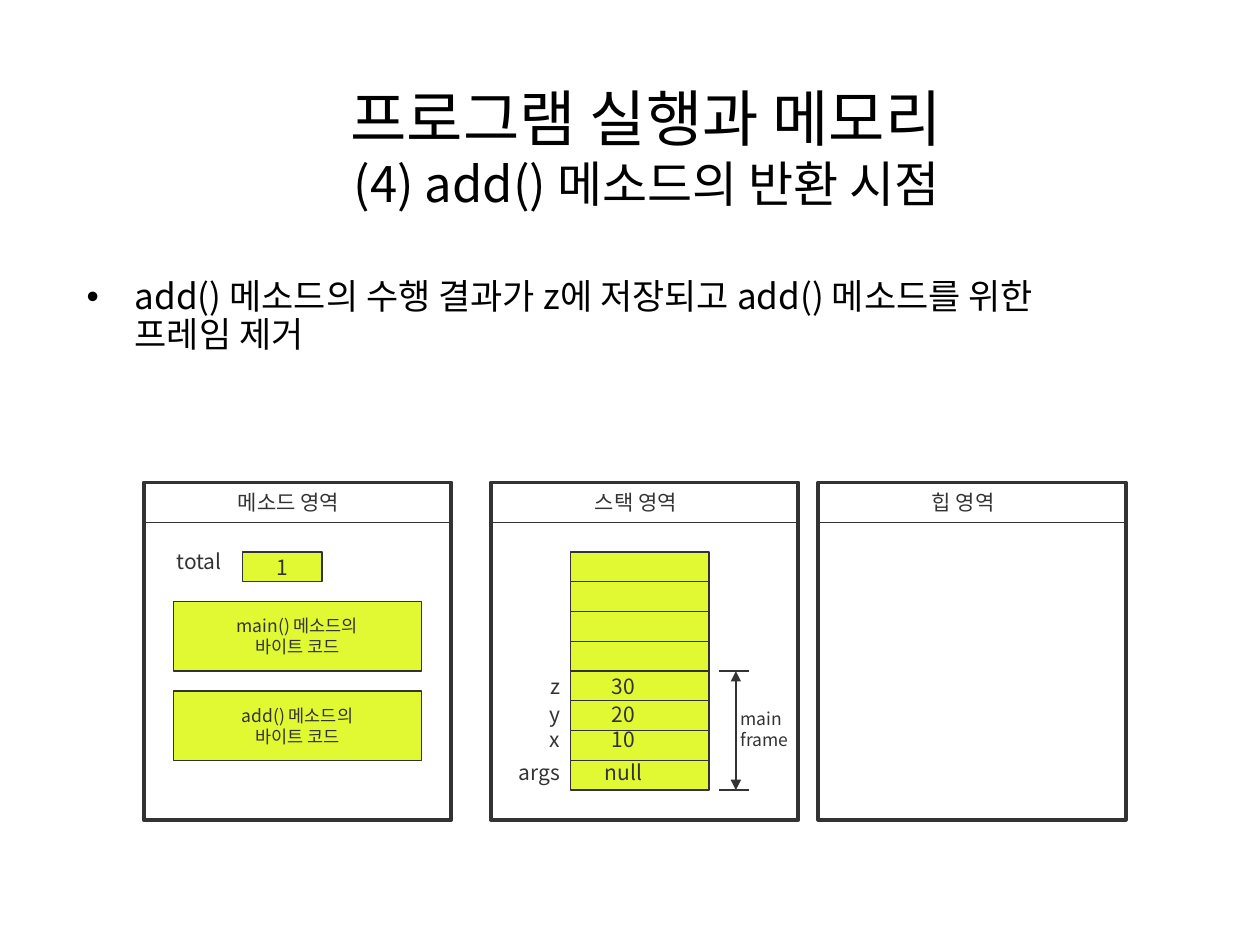
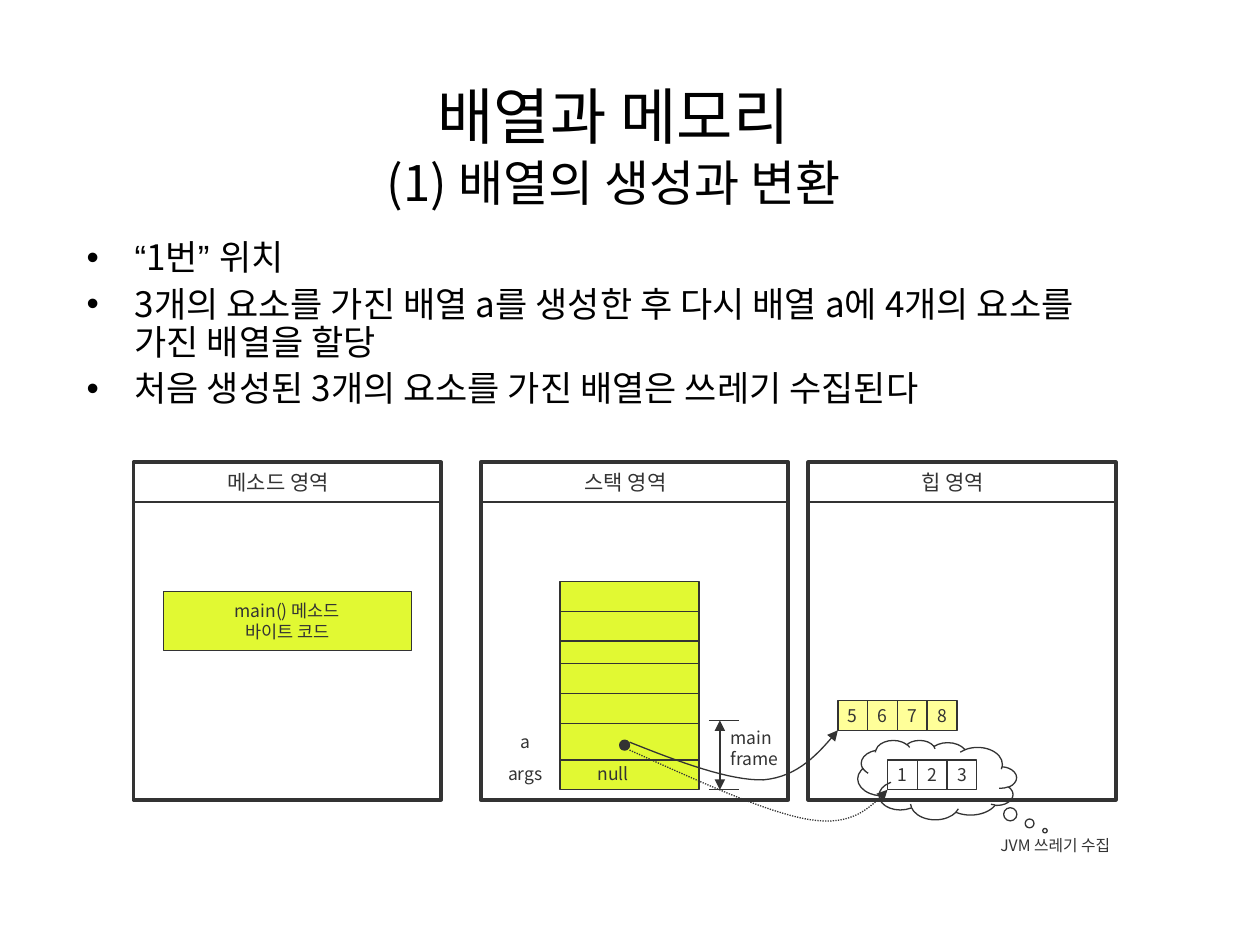
import lxml.etree
import pptx
import pptx.dml.color
import pptx.enum.dml
import pptx.enum.shapes
import pptx.enum.text
import pptx.oxml
import pptx.oxml.ns
import pptx.util

BLACK = pptx.dml.color.RGBColor(0x00, 0x00, 0x00)
INK = pptx.dml.color.RGBColor(0x33, 0x33, 0x33)
LIME = pptx.dml.color.RGBColor(0xE1, 0xF9, 0x33)
CREAM = pptx.dml.color.RGBColor(0xFF, 0xFF, 0x99)

KOREAN, LATIN = "Noto Sans CJK KR", "Arial"
Shape = pptx.enum.shapes.MSO_SHAPE
Align = pptx.enum.text.PP_ALIGN
Anchor = pptx.enum.text.MSO_ANCHOR
inch, points = pptx.util.Inches, pptx.util.Pt

# Diagrams are laid out on a grid of 2 mm cells
CELL = pptx.util.Mm(2)
PANEL_WIDTH, PANEL_HEIGHT, HEADER = 31, 34, 4
PANELS = {"메소드 영역": 0, "스택 영역": 35, "힙 영역": 68}
STACK_LEFT, STACK_WIDTH, VALUE_WIDTH = 43, 14, 10.7
LABEL_LEFT, LABEL_WIDTH = 37, 5
CODE_LEFT, CODE_WIDTH = 3, 25
ROW = 3

NO_INSETS = dict.fromkeys(
    ("margin_left", "margin_top", "margin_right", "margin_bottom"), 0)
LABEL_FRAME = {**NO_INSETS, "word_wrap": False, "vertical_anchor": Anchor.MIDDLE}
BULLET_FORMAT = {"line_spacing": 0.9, "space_before": points(5)}


def apply(target, values):
    for attribute, value in values.items():
        setattr(target, attribute, value)


def write(paragraph, text, size, color=INK, font=KOREAN):
    """Add a run whose Latin and East Asian fonts agree."""
    run = paragraph.add_run()
    apply(run, {"text": text})
    apply(run.font, {"size": points(size), "name": font})
    run.font.color.rgb = color
    east_asian = pptx.oxml.parse_xml(
        f'<a:ea {pptx.oxml.ns.nsdecls("a")} typeface="{font}"/>')
    run.font._element.find(pptx.oxml.ns.qn("a:latin")).addnext(east_asian)


def fill_label(frame, text, size, align):
    apply(frame, LABEL_FRAME)
    for index, line in enumerate(text.split("\n")):
        paragraph = frame.add_paragraph() if index else frame.paragraphs[0]
        paragraph.alignment = align
        write(paragraph, line, size)


def add_arrowheads(line, *ends):
    for end in ends:
        lxml.etree.SubElement(line._get_or_add_ln(), pptx.oxml.ns.qn(f"a:{end}"),
                              type="triangle")


def add_title(slide, left, top, heading, subheading):
    title = slide.shapes.title
    apply(title, {"left": inch(left), "top": inch(top),
                  "width": inch(9.24), "height": inch(0.8)})
    apply(title.text_frame, {"word_wrap": True, "vertical_anchor": Anchor.MIDDLE,
                             "auto_size": pptx.enum.text.MSO_AUTO_SIZE.NONE})
    paragraph = title.text_frame.paragraphs[0]
    paragraph.alignment = Align.CENTER
    write(paragraph, heading, 35, BLACK)
    paragraph.add_line_break()
    write(paragraph, subheading, 28, BLACK)


def add_bullets(slide, top, height, items):
    """Each item is a list of (text, font) runs."""
    frame = slide.shapes.add_textbox(
        inch(0.59), inch(top), inch(8.5), inch(height)).text_frame
    frame.word_wrap = True
    for index, runs in enumerate(items):
        paragraph = frame.add_paragraph() if index else frame.paragraphs[0]
        apply(paragraph, BULLET_FORMAT)
        properties = paragraph._p.get_or_add_pPr()
        properties.set("marL", str(inch(0.38)))
        properties.set("indent", str(-inch(0.38)))
        lxml.etree.SubElement(properties, pptx.oxml.ns.qn("a:buFont"), typeface=LATIN)
        lxml.etree.SubElement(properties, pptx.oxml.ns.qn("a:buChar"), char="•")
        for text, font in runs:
            write(paragraph, text, 20, BLACK, font)


class Diagram:
    """Memory diagram measured in cells from its top left corner."""

    def __init__(self, slide, left, top):
        self.shapes = slide.shapes
        self.left, self.top = inch(left), inch(top)

    def place(self, column, row):
        return round(self.left + column * CELL), round(self.top + row * CELL)

    def area(self, column, row, width, height):
        return *self.place(column, row), round(width * CELL), round(height * CELL)

    def box(self, column, row, width, height, fill=None, text="", size=10,
            weight=0.75, kind=Shape.RECTANGLE):
        box = self.shapes.add_shape(kind, *self.area(column, row, width, height))
        box.shadow.inherit = False
        if fill is None:
            box.fill.background()
        else:
            box.fill.solid()
            box.fill.fore_color.rgb = fill
        box.line.color.rgb = INK
        box.line.width = points(weight)
        if text:
            fill_label(box.text_frame, text, size, Align.CENTER)
        return box

    def label(self, column, row, width, height, text, size, align=Align.CENTER):
        label = self.shapes.add_textbox(*self.area(column, row, width, height))
        fill_label(label.text_frame, text, size, align)
        # Left and right alignment hold to the box only when text wraps
        label.text_frame.word_wrap = align != Align.CENTER

    def line(self, start, end, *arrowheads):
        line = self.shapes.add_connector(
            pptx.enum.shapes.MSO_CONNECTOR.STRAIGHT,
            *self.place(*start), *self.place(*end))
        line.line.color.rgb = INK
        line.line.width = points(0.75)
        add_arrowheads(line.line, *arrowheads)
        lxml.etree.SubElement(line._element.spPr, pptx.oxml.ns.qn("a:effectLst"))

    def curve(self, controls, dash=None, steps=16):
        """Arrow along joined cubic curves, three more points for each."""
        track = [controls[0]]
        for first in range(0, len(controls) - 1, 3):
            a, b, c, d = controls[first:first + 4]
            for step in range(1, steps + 1):
                t = step / steps
                u = 1 - t
                track.append([u**3 * p + 3*u*u*t * q + 3*u*t*t * r + t**3 * s
                              for p, q, r, s in zip(a, b, c, d)])
        start, *rest = [self.place(*point) for point in track]
        builder = self.shapes.build_freeform(*start)
        builder.add_line_segments(rest, close=False)
        arrow = builder.convert_to_shape()
        arrow.shadow.inherit = False
        arrow.fill.background()
        arrow.line.color.rgb = INK
        apply(arrow.line, {"width": points(0.75), "dash_style": dash})
        add_arrowheads(arrow.line, "tailEnd")

    def panels(self):
        for name, column in PANELS.items():
            self.box(column, 0, PANEL_WIDTH, PANEL_HEIGHT, weight=2.25)
            self.line((column, HEADER), (column + PANEL_WIDTH, HEADER))
            self.label(column, 0, 29.2, HEADER, name, 12)

    def stack(self, row, height, dividers):
        self.box(STACK_LEFT, row, STACK_WIDTH, height, LIME)
        for divider in dividers:
            self.line((STACK_LEFT, divider), (STACK_LEFT + STACK_WIDTH, divider))

    def variable(self, middle, name, value, size, align):
        row = middle - ROW / 2
        self.label(LABEL_LEFT, row, LABEL_WIDTH, ROW, name, size, align)
        if value:
            self.label(STACK_LEFT, row, VALUE_WIDTH, ROW, value, size)

    def frame_bracket(self, top, bottom, arrow, label_row):
        for row in (top, bottom):
            self.line((58, row), (61, row))
        self.line((arrow, top), (arrow, bottom), "headEnd", "tailEnd")
        self.label(60.2, label_row, 7, 5.6, "main\nframe", 10, Align.LEFT)

    def array(self, column, row, values, fill=None):
        for index, value in enumerate(values):
            self.box(column + index * ROW, row, ROW, ROW, fill, value)


def build_return_slide(slide):
    add_title(slide, 0.51, 0.76, "프로그램 실행과 메모리", "(4) add() 메소드의 반환 시점")
    add_bullets(slide, 2.17, 1.11, [[(
        "add() 메소드의 수행 결과가 z에 저장되고 add() 메소드를 위한 프레임 제거", KOREAN)]])
    diagram = Diagram(slide, 1.14, 3.83)
    diagram.panels()

    # Method area
    diagram.label(CODE_LEFT, 6.4, 5.2, ROW, "total", 12)
    diagram.box(10, 7, 8, ROW, LIME, "1", 12)
    for row, method in ((12, "main()"), (21, "add()")):
        diagram.box(CODE_LEFT, row, CODE_WIDTH, 7, LIME,
                    f"{method} 메소드의\n바이트 코드")

    # Stack area
    diagram.stack(7, 8 * ROW, range(7 + ROW, 7 + 8 * ROW, ROW))
    for middle, name, value in ((20.5, "z", "30"), (23.3, "y", "20"),
                                (25.9, "x", "10"), (29.2, "args", "null")):
        diagram.variable(middle, name, value, 12, Align.RIGHT)
    diagram.frame_bracket(19, 31, 59.7, 22)


def build_array_slide(slide):
    add_title(slide, 0.25, 0.75, "배열과 메모리", "(1) 배열의 생성과 변환")
    add_bullets(slide, 1.86, 1.58, [
        [("“", LATIN), ("1번", KOREAN), ("” ", LATIN), ("위치", KOREAN)],
        [("3개의 요소를 가진 배열 a를 생성한 후 다시 배열 a에 4개의 요소를 가진 배열을 할당",
          KOREAN)],
        [("처음 생성된 3개의 요소를 가진 배열은 쓰레기 수집된다", KOREAN)]])
    diagram = Diagram(slide, 1.06, 3.67)
    diagram.panels()

    # Method area
    diagram.box(CODE_LEFT, 13, CODE_WIDTH, 6, LIME, "main() 메소드\n바이트 코드")

    # Stack area
    diagram.stack(12, 21, (15, 18, 20.3, 23.3, 26.3, 30))
    diagram.variable(28.1, "a", "", 10, Align.CENTER)
    diagram.variable(31.4, "args", "null", 10, Align.CENTER)
    diagram.frame_bracket(26, 33, 59.1, 26)
    diagram.box(49, 28, 1, 1, INK, kind=Shape.OVAL)

    # Heap area with the new and the discarded array
    diagram.array(71, 24, "5678", CREAM)
    diagram.array(76, 30, "123")
    diagram.curve([(50, 28.2), (55, 30.2), (60.1, 32.1), (63.5, 32),
                   (67, 31.7), (69.1, 29.3), (71, 27)])
    diagram.curve([(50, 29), (56.9, 32.1), (63.8, 35.3), (68.1, 36),
                   (72.4, 36.7), (74.2, 34.9), (76, 33)],
                  pptx.enum.dml.MSO_LINE.ROUND_DOT)

    # Garbage collection cloud, its tail to the right
    cloud = diagram.box(73, 28, 16, 8, kind=Shape.CLOUD_CALLOUT)
    cloud.adjustments[0], cloud.adjustments[1] = -0.68, 0.64
    cloud._element.spPr.xfrm.set("flipH", "1")
    diagram.label(85.6, 37.1, 14.6, ROW, "JVM 쓰레기 수집", 9)


def main():
    deck = pptx.Presentation()
    apply(deck, {"slide_width": inch(10), "slide_height": inch(7.5)})
    title_only = deck.slide_layouts[5]
    for build in (build_return_slide, build_array_slide):
        build(deck.slides.add_slide(title_only))
    deck.save("out.pptx")


if __name__ == "__main__":
    main()
